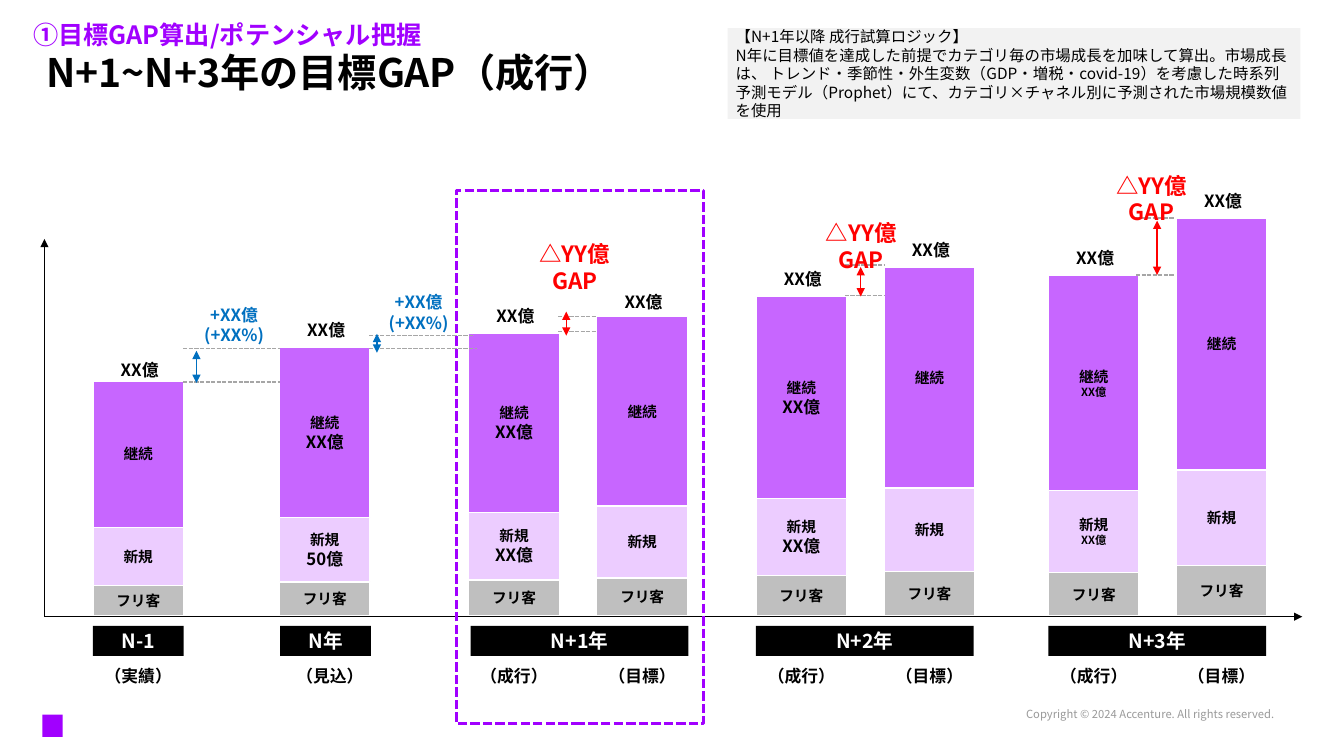
from dataclasses import dataclass
from typing import Any

import lxml.etree
import pptx
import pptx.dml.color
import pptx.enum.dml
import pptx.enum.shapes
import pptx.enum.text
import pptx.oxml.ns
import pptx.util

Cm = pptx.util.Cm
Pt = pptx.util.Pt
qn = pptx.oxml.ns.qn
Align = pptx.enum.text.PP_ALIGN
Anchor = pptx.enum.text.MSO_ANCHOR
Preset = pptx.enum.shapes.MSO_SHAPE


@dataclass(frozen=True)
class Theme:
    font: str = "Noto Sans CJK JP"
    black: str = "000000"
    white: str = "FFFFFF"
    accent: str = "A100FF"
    retained: str = "C766FF"
    new: str = "ECCCFF"
    free: str = "BFBFBF"
    growth: str = "0070C0"
    gap: str = "FF0000"
    guide: str = "A6A6A6"
    note: str = "F2F2F2"
    muted: str = "999999"
    title_size: float = 28
    section_size: float = 18
    gap_size: float = 16
    year_size: float = 14
    label_size: float = 12
    note_size: float = 11
    segment_size: float = 10.5
    small_size: float = 8


THEME = Theme()
BAR_WIDTH = 2.29
BAR_BASE = 15.52
AXIS_LEFT, AXIS_TOP, AXIS_RIGHT, AXIS_BASE = 1.12, 6.02, 32.82, 15.54
BOX_INSETS = (0.25, 0.13, 0.25, 0.13)
SEGMENT_INSETS = (0.1, 0.13, 0.1, 0.13)


@dataclass(frozen=True)
class Line:
    text: str
    size: float
    color: str = THEME.black
    bold: bool = True


@dataclass(frozen=True)
class Bar:
    left: float
    height: float
    caption: str
    new_amount: str = ""
    retained_amount: str = ""
    amount_size: float = THEME.label_size
    shares: tuple[float, float, float] = (0.127, 0.24, 0.633)
    label_rise: float = 0.86
    caption_width: float = 2.26
    caption_shift: float = 0


@dataclass(frozen=True)
class Year:
    left: float
    width: float
    text: str


@dataclass(frozen=True)
class Difference:
    """Two dashed levels, the arrow between them and its label."""
    left: float
    rights: tuple[float, float]
    levels: tuple[float, float]
    arrow_x: float
    arrow_ends: tuple[float, float]
    label_left: float
    label_top: float
    label_height: float
    lines: tuple[Line, Line]


GROWTH = tuple(Line(text, THEME.label_size, THEME.growth) for text in ("+XX億", "(+XX%)"))
SHORTFALL = tuple(Line(text, THEME.gap_size, THEME.gap) for text in ("△YY億", "GAP"))

BARS = [
    Bar(2.34, 5.92, "（実績）", shares=(0.13, 0.247, 0.623), label_rise=0.71, caption_width=4.22),
    Bar(7.04, 6.76, "（見込）", "50億", "XX億", caption_width=4.22, caption_shift=0.13),
    Bar(11.81, 7.11, "（成行）", "XX億", "XX億"),
    Bar(15.04, 7.54, "（目標）", label_rise=0.79),
    Bar(19.05, 8.05, "（成行）", "XX億", "XX億"),
    Bar(22.28, 8.79, "（目標）"),
    Bar(26.42, 8.59, "（成行）", "XX億", "XX億", THEME.small_size),
    Bar(29.64, 10.03, "（目標）"),
]
YEARS = [
    Year(2.34, 2.29, "N-1"),
    Year(7.06, 2.29, "N年"),
    Year(11.86, 5.49, "N+1年"),
    Year(19.05, 5.49, "N+2年"),
    Year(26.42, 5.49, "N+3年"),
]
DIFFERENCES = [
    Difference(4.62, (7.06, 7.06), (8.79, 9.63), 4.95, (8.84, 9.65), 4.67, 7.47, 1.42, GROWTH),
    Difference(9.3, (11.94, 12.01), (8.46, 8.79), 9.5, (8.41, 8.89), 9.32, 7.16, 1.42, GROWTH),
    Difference(14.07, (15.04, 15.04), (7.98, 8.36), 14.27, (7.85, 8.46), 13.26, 5.92, 1.63, SHORTFALL),
    Difference(21.29, (22.28, 22.28), (6.68, 7.44), 21.69, (6.73, 7.47), 20.47, 5.38, 1.63, SHORTFALL),
    Difference(28.63, (29.59, 29.59), (5.49, 6.93), 29.16, (5.56, 6.93), 27.79, 4.19, 1.63, SHORTFALL),
]


def rgb(color: str) -> pptx.dml.color.RGBColor:
    return pptx.dml.color.RGBColor.from_string(color)


def place(shape: Any, left: float, top: float, width: float, height: float) -> None:
    shape.left, shape.top, shape.width, shape.height = map(Cm, (left, top, width, height))


def write(shape: Any, lines: tuple[Line, ...], align: Any = Align.CENTER, anchor: Any = Anchor.MIDDLE,
          insets: tuple[float, ...] = BOX_INSETS, wrap: bool = True) -> None:
    frame = shape.text_frame
    frame.auto_size = pptx.enum.text.MSO_AUTO_SIZE.NONE
    frame.word_wrap = wrap
    frame.vertical_anchor = anchor
    frame.margin_left, frame.margin_top, frame.margin_right, frame.margin_bottom = map(Cm, insets)
    frame.text = "\n".join(line.text for line in lines)
    for paragraph, line in zip(frame.paragraphs, lines):
        properties = paragraph._p.get_or_add_pPr()
        if shape.is_placeholder:
            properties.set("marL", "0")
            properties.set("indent", "0")
            lxml.etree.SubElement(properties, qn("a:buNone"))
        paragraph.alignment = align
        paragraph.space_before = Pt(0)
        font = paragraph.font
        font.size, font.bold, font.name = Pt(line.size), line.bold, THEME.font
        font.color.rgb = rgb(line.color)
        east_asian = lxml.etree.SubElement(properties.find(qn("a:defRPr")), qn("a:ea"))
        east_asian.set("typeface", THEME.font)


def add_text(slide: Any, box: tuple[float, ...], *lines: Line, **options: Any) -> None:
    write(slide.shapes.add_textbox(*map(Cm, box)), lines, **options)


def add_rectangle(slide: Any, box: tuple[float, ...], fill: str = "", outline: str = "", weight: float = 1) -> Any:
    shape = slide.shapes.add_shape(Preset.RECTANGLE, *map(Cm, box))
    shape.shadow.inherit = False
    if fill:
        shape.fill.solid()
        shape.fill.fore_color.rgb = rgb(fill)
    else:
        shape.fill.background()
    if outline:
        shape.line.color.rgb = rgb(outline)
        shape.line.width = Pt(weight)
    else:
        shape.line.fill.background()
    return shape


def add_line(slide: Any, ends: tuple[float, ...], color: str, dashed: bool = False,
             arrowheads: tuple[str, ...] = ()) -> None:
    """Arrowheads are the a:ln end elements, headEnd before tailEnd."""
    connector = slide.shapes.add_connector(pptx.enum.shapes.MSO_CONNECTOR.STRAIGHT, *map(Cm, ends))
    connector.line.color.rgb = rgb(color)
    connector.line.width = Pt(1)
    if dashed:
        connector.line.dash_style = pptx.enum.dml.MSO_LINE.SQUARE_DOT
    for end in arrowheads:
        lxml.etree.SubElement(connector.line._get_or_add_ln(), qn(f"a:{end}")).set("type", "triangle")
    lxml.etree.SubElement(connector._element.spPr, qn("a:effectLst"))


def add_bar(slide: Any, bar: Bar) -> None:
    names = ("フリ客", "新規", "継続")
    fills = (THEME.free, THEME.new, THEME.retained)
    amounts = ("", bar.new_amount, bar.retained_amount)
    top = BAR_BASE
    for name, fill, amount, share in zip(names, fills, amounts, bar.shares):
        height = bar.height * share
        top -= height
        segment = add_rectangle(slide, (bar.left, top, BAR_WIDTH, height), fill, THEME.white)
        lines = [Line(name, THEME.segment_size)]
        if amount:
            lines.append(Line(amount, bar.amount_size))
        write(segment, tuple(lines), insets=SEGMENT_INSETS)
    add_text(slide, (bar.left + 0.1, top - bar.label_rise, 2.16, 0.84), Line("XX億", THEME.label_size))
    caption_left = bar.left + (BAR_WIDTH - bar.caption_width) / 2 + bar.caption_shift
    add_text(slide, (caption_left, 16.64, bar.caption_width, 0.84), Line(bar.caption, THEME.label_size),
             anchor=Anchor.TOP)


def add_difference(slide: Any, difference: Difference) -> None:
    for right, level in zip(difference.rights, difference.levels):
        add_line(slide, (difference.left, level, right, level), THEME.guide, dashed=True)
    top, bottom = difference.arrow_ends
    add_line(slide, (difference.arrow_x, bottom, difference.arrow_x, top), difference.lines[0].color,
             arrowheads=("headEnd", "tailEnd"))
    add_text(slide, (difference.label_left, difference.label_top, 2.46, difference.label_height),
             *difference.lines, wrap=False)


def add_headings(slide: Any) -> None:
    title, section = slide.shapes.title, slide.placeholders[1]
    place(title, 1.07, 1.32, 31.7, 1.17)
    write(title, (Line("N+1~N+3年の目標GAP（成行）", THEME.title_size),), Align.LEFT, Anchor.TOP,
          (0.1, 0.13, 0.25, 0.13))
    title.text_frame.paragraphs[0].line_spacing = 0.8
    place(section, 0.84, 0.28, 31.42, 0.97)
    write(section, (Line("①目標GAP算出/ポテンシャル把握", THEME.section_size, THEME.accent),), Align.LEFT,
          Anchor.BOTTOM, (0, 0, 0, 0))
    section.text_frame.paragraphs[0].space_after = Pt(6)


def main() -> None:
    presentation = pptx.Presentation()
    presentation.slide_width, presentation.slide_height = Cm(33.87), Cm(19.05)
    slide = presentation.slides.add_slide(presentation.slide_layouts[1])
    add_headings(slide)
    add_rectangle(slide, (1.07, 18.01, 0.51, 0.56), THEME.accent)
    add_text(slide, (23.32, 17.83, 8.81, 0.36),
             Line("Copyright © 2024 Accenture. All rights reserved.", THEME.small_size, THEME.muted, False),
             align=Align.RIGHT, anchor=Anchor.TOP, insets=(0, 0, 0, 0))
    for year in YEARS:
        header = add_rectangle(slide, (year.left, 15.77, year.width, 0.76), THEME.black)
        write(header, (Line(year.text, THEME.year_size, THEME.white),))
    for bar in BARS:
        add_bar(slide, bar)
    for end in ((AXIS_LEFT, AXIS_TOP), (AXIS_RIGHT, AXIS_BASE)):
        add_line(slide, (AXIS_LEFT, AXIS_BASE, *end), THEME.black, arrowheads=("tailEnd",))
    for difference in DIFFERENCES:
        add_difference(slide, difference)
    focus = add_rectangle(slide, (11.51, 4.8, 6.22, 13.44), outline=THEME.accent, weight=2.25)
    focus.line.dash_style = pptx.enum.dml.MSO_LINE.SQUARE_DOT
    note = add_rectangle(slide, (18.34, 0.71, 14.43, 2.29), THEME.note)
    note_texts = (
        "【N+1年以降 成行試算ロジック】",
        "N年に目標値を達成した前提でカテゴリ毎の市場成長を加味して算出。市場成長は、 "
        "トレンド・季節性・外生変数（GDP・増税・covid-19）を考慮した時系列予測モデル（Prophet）にて、"
        "カテゴリ×チャネル別に予測された市場規模数値を使用",
    )
    write(note, tuple(Line(text, THEME.note_size, bold=False) for text in note_texts), Align.LEFT,
          insets=(0.2, 0, 0.2, 0))
    presentation.save("out.pptx")


if __name__ == "__main__":
    main()
